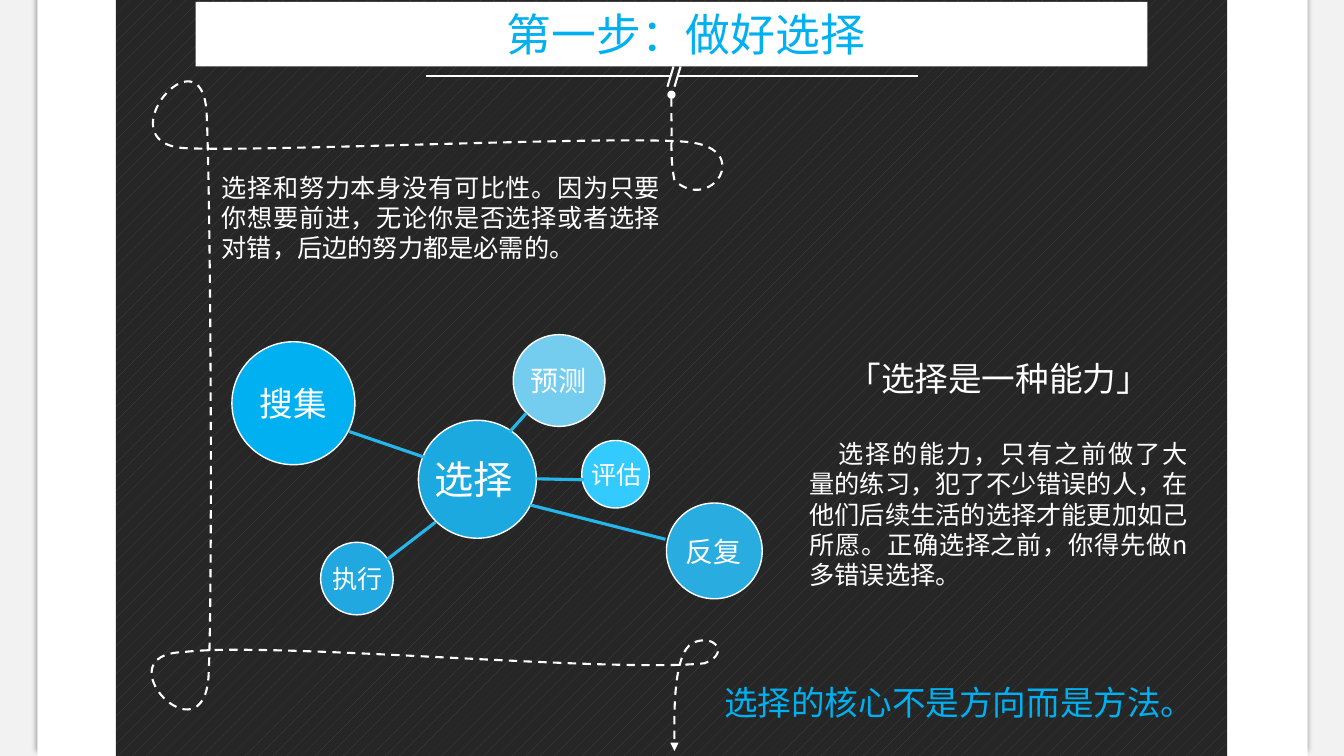
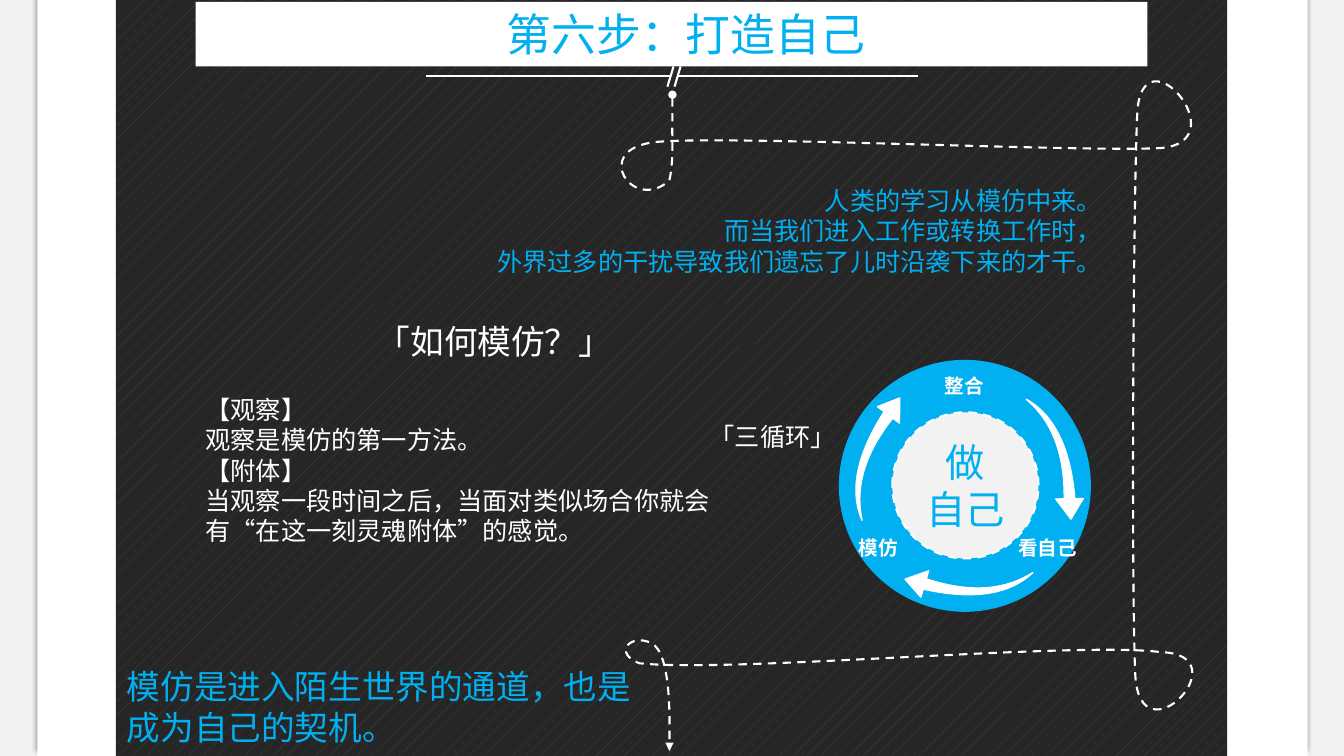
"""Build two slides on making choices and shaping yourself."""
import dataclasses
import typing

import lxml.etree
import pptx
import pptx.dml.color
import pptx.enum.dml
import pptx.enum.shapes
import pptx.enum.text
import pptx.oxml.ns
import pptx.util

Inches = pptx.util.Inches
Pt = pptx.util.Pt
RGBColor = pptx.dml.color.RGBColor
Align = pptx.enum.text.PP_ALIGN
Anchor = pptx.enum.text.MSO_ANCHOR
Preset = pptx.enum.shapes.MSO_SHAPE
Dash = pptx.enum.dml.MSO_LINE

FONT = "Noto Sans CJK SC"
WHITE = RGBColor(0xFF, 0xFF, 0xFF)
PALE = RGBColor(0xF2, 0xF2, 0xF2)
BLUE = RGBColor(0x00, 0xB0, 0xF0)
LINK = RGBColor(0x26, 0xB7, 0xEA)
DARK = RGBColor(0x26, 0x26, 0x26)
DOTS = RGBColor(0x47, 0x47, 0x47)
WIDTH, HEIGHT = 13.33, 7.5
INDENT = 0.29

Point = tuple[float, float]
Bounds = tuple[float, float, float, float]

TRAIL_BOUNDS: Bounds = (1.5, 0.81, 5.67, 6.64)
TRAIL_START: Point = (6.66, 0.94)
TRAIL: list[tuple[Point, Point, Point]] = [
    ((6.66, 0.99), (6.66, 1.03), (6.66, 1.18)),
    ((6.67, 1.32), (6.64, 1.55), (6.69, 1.79)),
    ((7.05, 2.12), (7.48, 1.48), (6.83, 1.41)),
    ((6.18, 1.34), (2.63, 1.51), (1.83, 1.47)),
    ((1.03, 1.42), (2.01, 0.26), (2.05, 1.13)),
    ((2.09, 2), (2.11, 5.8), (2.07, 6.69)),
    ((2.03, 7.58), (1, 6.49), (1.82, 6.47)),
    ((2.65, 6.36), (6.1, 6.68), (6.99, 6.58)),
    ((7.25, 6.48), (7.08, 6.28), (6.87, 6.38)),
    ((6.67, 6.48), (6.69, 7.32), (6.69, 7.45)),
]
TITLE_RULES: list[tuple[Point, Point]] = [
    ((4.23, 0.75), (6.65, 0.75)),
    ((6.72, 0.75), (9.1, 0.75)),
    ((6.68, 0.66), (6.62, 0.86)),
    ((6.75, 0.66), (6.69, 0.86)),
]


@dataclasses.dataclass(frozen=True)
class Para:
    """One paragraph with its format."""

    text: str
    size: float = 18
    color: RGBColor = WHITE
    align: Align = Align.LEFT
    indent: float = 0
    before: float = 0
    leading: float = 1.2
    bold: bool = False


@dataclasses.dataclass(frozen=True)
class Ball:
    """A circle of the choice network and its label."""

    label: str
    left: float
    top: float
    diameter: float
    color: RGBColor
    size: float
    label_bounds: Bounds


@dataclasses.dataclass(frozen=True)
class Swoosh:
    """A curved arrow of the cycle."""

    left: float
    top: float
    rotation: float


BALLS = [
    Ball("搜集", 2.3, 3.39, 1.22, BLUE, 24, (2.47, 3.75, 0.88, 0.5)),
    Ball("执行", 3.18, 5.38, 0.72, RGBColor(0x22, 0xA8, 0xE0), 18, (3.19, 5.54, 0.71, 0.4)),
    Ball("评估", 5.77, 4.37, 0.67, RGBColor(0x33, 0xCA, 0xFF), 18, (5.76, 4.51, 0.71, 0.4)),
    Ball("预测", 5.09, 3.32, 0.91, RGBColor(0x74, 0xCD, 0xEF), 20, (5.16, 3.56, 0.76, 0.44)),
    Ball("反复", 6.61, 4.99, 0.95, RGBColor(0x29, 0xAC, 0xDF), 20, (6.7, 5.25, 0.76, 0.44)),
    Ball("选择", 4.15, 4.17, 1.17, RGBColor(0x1C, 0xA9, 0xDF), 28, (4.2, 4.47, 1, 0.57)),
]
BALL_LINKS: list[tuple[Point, Point]] = [
    ((3.46, 4.28), (4.22, 4.54)),
    ((5.05, 4.29), (5.22, 4.1)),
    ((6.6, 5.35), (5.26, 5.01)),
    ((5.79, 4.76), (5.32, 4.75)),
    ((3.84, 5.55), (4.32, 5.18)),
]
SWOOSHES = [Swoosh(9.88, 4.23, 95.6), Swoosh(9.02, 5.43, 203.1), Swoosh(8.13, 4.19, 313.2)]
CYCLE_LABELS: list[tuple[str, Bounds]] = [
    ("整合", (9.27, 3.66, 0.59, 0.34)),
    ("模仿", (8.42, 5.27, 0.59, 0.34)),
    ("看自己", (10, 5.27, 0.79, 0.34)),
]


def add_element(parent: typing.Any, tag: str, **values: str) -> typing.Any:
    """Append a DrawingML element."""
    return lxml.etree.SubElement(parent, pptx.oxml.ns.qn(tag), values)


def set_values(target: typing.Any, values: dict[str, typing.Any]) -> None:
    """Set attributes from a dict of format values."""
    for name, value in values.items():
        setattr(target, name, value)


def write(shape: typing.Any, paras: list[Para], anchor: Anchor = Anchor.TOP, wrap: bool = True) -> None:
    """Fill a shape with formatted paragraphs."""
    frame = shape.text_frame
    set_values(frame, {"word_wrap": wrap, "vertical_anchor": anchor})
    for index, item in enumerate(paras):
        para = frame.add_paragraph() if index else frame.paragraphs[0]
        set_values(para, {"alignment": item.align, "line_spacing": Pt(item.size * item.leading)})
        if item.before:
            para.space_before = Pt(item.before)
        if item.indent:
            para._p.get_or_add_pPr().set("indent", str(Inches(item.indent)))
        span = para.add_run()
        span.text = item.text
        set_values(span.font, {"name": FONT, "size": Pt(item.size), "bold": item.bold})
        span.font.color.rgb = item.color
        add_element(span._r.get_or_add_rPr(), "a:ea", typeface=FONT)


def add_text(page: typing.Any, bounds: Bounds, paras: list[Para], wrap: bool = True) -> None:
    """Add a text box."""
    write(page.shapes.add_textbox(*map(Inches, bounds)), paras, wrap=wrap)


def add_preset(
    page: typing.Any, preset: Preset, bounds: Bounds, color: RGBColor, outline: float = 0
) -> typing.Any:
    """Add a filled preset shape, with a white outline if a width is given."""
    shape = page.shapes.add_shape(preset, *map(Inches, bounds))
    shape.shadow.inherit = False
    shape.fill.solid()
    shape.fill.fore_color.rgb = color
    if outline:
        shape.line.color.rgb = WHITE
        shape.line.width = Pt(outline)
    else:
        shape.line.fill.background()
    return shape


def add_lines(page: typing.Any, lines: list[tuple[Point, Point]], color: RGBColor, width: float) -> None:
    """Add straight lines of one style."""
    for start, end in lines:
        line = page.shapes.add_connector(
            pptx.enum.shapes.MSO_CONNECTOR.STRAIGHT, *map(Inches, start + end)
        )
        line.line.color.rgb = color
        line.line.width = Pt(width)
        add_element(line._element.spPr, "a:effectLst")


def add_trail(page: typing.Any, mirrored: bool) -> None:
    """Draw the dashed, curved trail from the title to the foot of the page."""
    left, top, width, height = TRAIL_BOUNDS
    builder = page.shapes.build_freeform(*map(Inches, TRAIL_START))
    builder.add_line_segments([tuple(map(Inches, TRAIL[-1][-1]))], close=False)
    trail = builder.convert_to_shape()
    trail_left = WIDTH - left - width if mirrored else left
    set_values(trail, {
        "left": Inches(trail_left), "top": Inches(top), "width": Inches(width), "height": Inches(height),
    })
    route = trail._element.find(".//" + pptx.oxml.ns.qn("a:path"))
    for child in list(route):
        route.remove(child)
    route.set("w", str(Inches(width)))
    route.set("h", str(Inches(height)))
    for tag, points in [("a:moveTo", (TRAIL_START,))] + [("a:cubicBezTo", curve) for curve in TRAIL]:
        step = add_element(route, tag)
        for x, y in points:
            across = left + width - x if mirrored else x - left
            add_element(step, "a:pt", x=str(Inches(across)), y=str(Inches(y - top)))
    trail.shadow.inherit = False
    trail.fill.background()
    trail.line.color.rgb = WHITE
    set_values(trail.line, {"width": Pt(1.5), "dash_style": Dash.DASH})
    outline = trail.line._get_or_add_ln()
    add_element(outline, "a:headEnd", type="oval")
    add_element(outline, "a:tailEnd", type="triangle")


def add_page(deck: typing.Any, title: str, motto: Para, motto_bounds: Bounds, mirrored: bool) -> typing.Any:
    """Add a page with the shared paper, board, title, motto and trail."""
    page = deck.slides.add_slide(deck.slide_layouts[6])
    page.background.fill.solid()
    page.background.fill.fore_color.rgb = PALE
    paper = add_preset(page, Preset.RECTANGLE, (0.37, 0, 12.6, HEIGHT), WHITE)
    effects = paper._element.spPr.find(pptx.oxml.ns.qn("a:effectLst"))
    shadow = add_element(
        effects, "a:outerShdw", blurRad=str(Pt(4)), dist=str(Pt(3)), dir="16200000", rotWithShape="0"
    )
    add_element(add_element(shadow, "a:srgbClr", val="000000"), "a:alpha", val="40000")
    board = add_preset(page, Preset.RECTANGLE, (1.15, 0, 11.02, HEIGHT), DARK)
    board.fill.patterned()
    board.fill.pattern = pptx.enum.dml.MSO_PATTERN.PERCENT_5
    board.fill.fore_color.rgb = DOTS
    board.fill.back_color.rgb = DARK
    band = add_preset(page, Preset.RECTANGLE, (1.94, 0.02, 9.44, 0.64), WHITE)
    write(band, [Para(title, 32, BLUE, Align.CENTER, INDENT)])
    add_text(page, motto_bounds, [motto])
    add_lines(page, TITLE_RULES, WHITE, 1.5)
    add_trail(page, mirrored)
    return page


def add_choice_page(deck: typing.Any) -> None:
    """Add the page on choosing well."""
    motto = Para("选择的核心不是方向而是方法。", 24, BLUE, Align.CENTER)
    page = add_page(deck, "第一步：做好选择", motto, (6.75, 6.72, 5.53, 0.5), mirrored=False)
    intro = "选择和努力本身没有可比性。因为只要你想要前进，无论你是否选择或者选择对错，后边的努力都是必需的。"
    add_text(page, (2.1, 1.66, 4.55, 1.01), [Para(intro, align=Align.JUSTIFY)])
    ability = (
        "选择的能力，只有之前做了大量的练习，犯了不少错误的人，"
        "在他们后续生活的选择才能更加如己所愿。正确选择之前，你得先做n多错误选择。"
    )
    add_text(page, (7.93, 3.5, 3.95, 2.42), [
        Para("「选择是一种能力」", 24, align=Align.CENTER),
        Para(ability, align=Align.JUSTIFY, indent=INDENT, before=28.8),
    ])
    for ball in BALLS:
        bounds = (ball.left, ball.top, ball.diameter, ball.diameter)
        add_preset(page, Preset.OVAL, bounds, ball.color, 1)
    add_lines(page, BALL_LINKS, LINK, 2.25)
    for ball in BALLS:
        add_text(page, ball.label_bounds, [Para(ball.label, ball.size, align=Align.CENTER)], wrap=False)


def add_self_page(deck: typing.Any) -> None:
    """Add the page on shaping yourself."""
    motto = Para("模仿是进入陌生世界的通道，也是成为自己的契机。", 24, BLUE)
    page = add_page(deck, "第六步：打造自己", motto, (1.16, 6.56, 5.5, 0.91), mirrored=True)
    origins = [
        "人类的学习从模仿中来。",
        "而当我们进入工作或转换工作时，",
        "外界过多的干扰导致我们遗忘了儿时沿袭下来的才干。",
    ]
    add_text(page, (3.06, 1.79, 7.97, 1.01), [
        Para(text, color=BLUE, align=Align.RIGHT, indent=INDENT) for text in origins
    ])
    add_text(page, (1.94, 3.13, 5.93, 2.66), [
        Para("「如何模仿？」", 24, align=Align.CENTER),
        Para("【观察】", before=24),
        Para("观察是模仿的第一方法。"),
        Para("【附体】"),
        Para("当观察一段时间之后，当面对类似场合你就会有“在这一刻灵魂附体”的感觉。"),
    ])
    add_text(page, (6.65, 4.04, 2.03, 0.5), [Para("「三循环」", align=Align.CENTER, leading=1.56)])
    add_preset(page, Preset.OVAL, (8.32, 3.57, 2.5, 2.5), BLUE)
    for swoosh in SWOOSHES:
        arrow = add_preset(page, Preset.SWOOSH_ARROW, (swoosh.left, swoosh.top, 1.14, 0.66), WHITE, 1)
        arrow.rotation = swoosh.rotation
        arrow.adjustments[0], arrow.adjustments[1] = 0.16, 0.31
    for label, bounds in CYCLE_LABELS:
        add_text(page, bounds, [Para(label, 14, bold=True)], wrap=False)
    core = add_preset(page, Preset.OVAL, (8.85, 4.09, 1.45, 1.45), PALE, 1.5)
    core.line.dash_style = Dash.DASH
    write(core, [Para(text, 28, BLUE, Align.CENTER) for text in ("做", "自己")], Anchor.MIDDLE)


def main() -> None:
    """Build and save the deck."""
    deck = pptx.Presentation()
    set_values(deck, {"slide_width": Inches(WIDTH), "slide_height": Inches(HEIGHT)})
    add_choice_page(deck)
    add_self_page(deck)
    deck.save("out.pptx")


if __name__ == "__main__":
    main()
